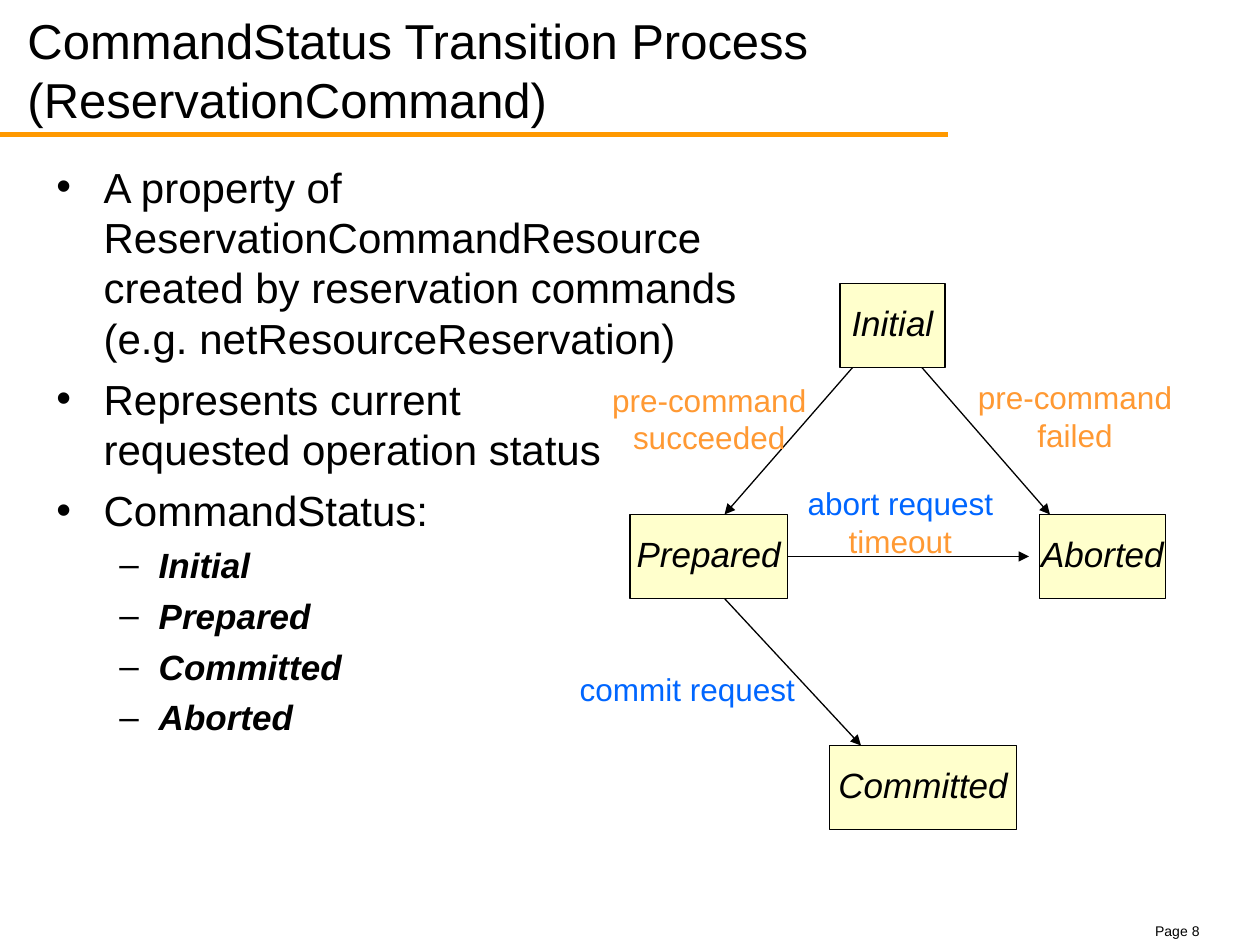
from pptx import Presentation
from pptx import util as u
from pptx.dml.color import RGBColor
from pptx.enum import shapes, text
from pptx.oxml.ns import qn
from lxml import etree

COLORS = {"ink": "000000", "rule": "FF9900", "state": "FFFFCC",
          "event": "FF9933", "request": "0066FF"}
FONT = "Arial"

TITLE = "CommandStatus Transition Process (ReservationCommand)"
POINTS = [
    (0, ["A property of ReservationCommandResource created by reservation commands "
         "(e.g. netResourceReservation)"]),
    (0, ["Represents current", "requested operation status"]),
    (0, ["CommandStatus:"]),
    (1, ["Initial"]),
    (1, ["Prepared"]),
    (1, ["Committed"]),
    (1, ["Aborted"]),
]
LEVELS = [
    {"bullet": "•", "margin": 27, "hang": 27, "size": 24, "before": 6, "strong": False},
    {"bullet": "–", "margin": 58.5, "hang": 22.5, "size": 20, "before": 5, "strong": True},
]

ROW_TOP, ROW_STEP, STATE_HEIGHT = 162, 132, 48
STATES = [
    ("Committed", 2, 474, 107),
    ("Aborted", 1, 594, 72),
    ("Initial", 0, 480, 60),
    ("Prepared", 1, 360, 90),
]
TRANSITIONS = {
    "succeeded": (492, 204.5, 414, 294),
    "commit": (414, 342, 492, 426),
    "abort": (450, 318, 588, 318),
    "failed": (522, 204.5, 600, 294),
}
LABELS = [
    (551.5, 216, 125.5, [("pre-command", "event"), ("failed", "event")]),
    (454.5, 276.5, 120, [("abort request", "request"), ("timeout", "event")]),
    (324, 383, 137.5, [("commit request", "request")]),
    (342.5, 217.5, 125.5, [("pre-command", "event"), ("succeeded", "event")]),
]
LABEL_LINE = 21.6


def color(name):
    return RGBColor.from_string(COLORS[name])


def place(shape, left, top, width, height):
    shape.left, shape.top = u.Pt(left), u.Pt(top)
    shape.width, shape.height = u.Pt(width), u.Pt(height)


def add_run(paragraph, wording, size, ink="ink", bold=False, italic=False):
    run = paragraph.add_run()
    run.text = wording
    run.font.name, run.font.size = FONT, u.Pt(size)
    run.font.bold, run.font.italic = bold, italic
    run.font.color.rgb = color(ink)


def next_paragraph(frame, index):
    return frame.add_paragraph() if index else frame.paragraphs[0]


def set_frame(frame, wrap, anchor, top=3.6):
    frame.word_wrap = wrap
    frame.auto_size = text.MSO_AUTO_SIZE.NONE
    frame.vertical_anchor = anchor
    frame.margin_left = frame.margin_right = u.Pt(7.2)
    frame.margin_top, frame.margin_bottom = u.Pt(top), u.Pt(3.6)


def set_bullet(paragraph, level):
    props = paragraph._p.get_or_add_pPr()
    props.set("marL", str(u.Pt(level["margin"])))
    props.set("indent", str(-u.Pt(level["hang"])))
    tint = etree.SubElement(props, qn("a:buClr"))
    etree.SubElement(tint, qn("a:srgbClr"), val=COLORS["ink"])
    etree.SubElement(props, qn("a:buFont"), typeface=FONT)
    etree.SubElement(props, qn("a:buChar"), char=level["bullet"])


def add_line(slide, ends, ink, weight, arrow=False):
    line = slide.shapes.add_connector(shapes.MSO_CONNECTOR.STRAIGHT, *map(u.Pt, ends))
    line.line.color.rgb = color(ink)
    line.line.width = u.Pt(weight)
    if arrow:
        etree.SubElement(line.line._get_or_add_ln(), qn("a:tailEnd"), type="triangle")
    etree.SubElement(line._element.spPr, qn("a:effectLst"))
    return line


def add_text(slide, box, lines, size, align, top):
    label = slide.shapes.add_textbox(*map(u.Pt, box))
    set_frame(label.text_frame, align == text.PP_ALIGN.LEFT, text.MSO_ANCHOR.TOP, top)
    for index, (wording, ink) in enumerate(lines):
        paragraph = next_paragraph(label.text_frame, index)
        paragraph.alignment = align
        add_run(paragraph, wording, size, ink)


def add_state(slide, name, row, left, width):
    box = (left, ROW_TOP + row * ROW_STEP, width, STATE_HEIGHT)
    state = slide.shapes.add_shape(shapes.MSO_SHAPE.RECTANGLE, *map(u.Pt, box))
    state.shadow.inherit = False
    state.fill.solid()
    state.fill.fore_color.rgb = color("state")
    state.line.color.rgb = color("ink")
    state.line.width = u.Pt(0.75)
    set_frame(state.text_frame, False, text.MSO_ANCHOR.MIDDLE, 0)
    paragraph = state.text_frame.paragraphs[0]
    paragraph.alignment = text.PP_ALIGN.CENTER
    add_run(paragraph, name, 20, italic=True)
    return state


def fill_title(title):
    place(title, 8.5, 18.5, 703, 42)
    set_frame(title.text_frame, True, text.MSO_ANCHOR.MIDDLE)
    paragraph = title.text_frame.paragraphs[0]
    paragraph.alignment = text.PP_ALIGN.LEFT
    add_run(paragraph, TITLE, 28)


def fill_body(body):
    place(body, 25, 88.5, 414, 408)
    set_frame(body.text_frame, True, text.MSO_ANCHOR.TOP)
    for index, (depth, lines) in enumerate(POINTS):
        level = LEVELS[depth]
        paragraph = next_paragraph(body.text_frame, index)
        paragraph.level = depth
        paragraph.space_before = u.Pt(level["before"] if index else 0)
        set_bullet(paragraph, level)
        for number, wording in enumerate(lines):
            if number:
                paragraph.add_line_break()
            add_run(paragraph, wording, level["size"],
                    bold=level["strong"], italic=level["strong"])


def main():
    deck = Presentation()
    deck.slide_width, deck.slide_height = u.Pt(720), u.Pt(540)
    slide = deck.slides.add_slide(deck.slide_layouts[1])

    add_text(slide, (653, 523.5, 67, 16.5), [("Page 8", "ink")], 8, text.PP_ALIGN.LEFT, 3.6)
    add_line(slide, (0, 77, 541.5, 77), "rule", 3)
    fill_title(slide.shapes.title)
    fill_body(slide.placeholders[1])

    arrows = {name: add_line(slide, ends, "ink", 0.75, arrow=True)
              for name, ends in TRANSITIONS.items()}
    for left, top, width, lines in LABELS:
        box = (left, top, width, LABEL_LINE * len(lines) + 3.6)
        add_text(slide, box, lines, 18, text.PP_ALIGN.CENTER, 0)
    states = {row[0]: add_state(slide, *row) for row in STATES}
    arrows["abort"].begin_connect(states["Prepared"], 3)

    deck.save("out.pptx")


if __name__ == "__main__":
    main()
